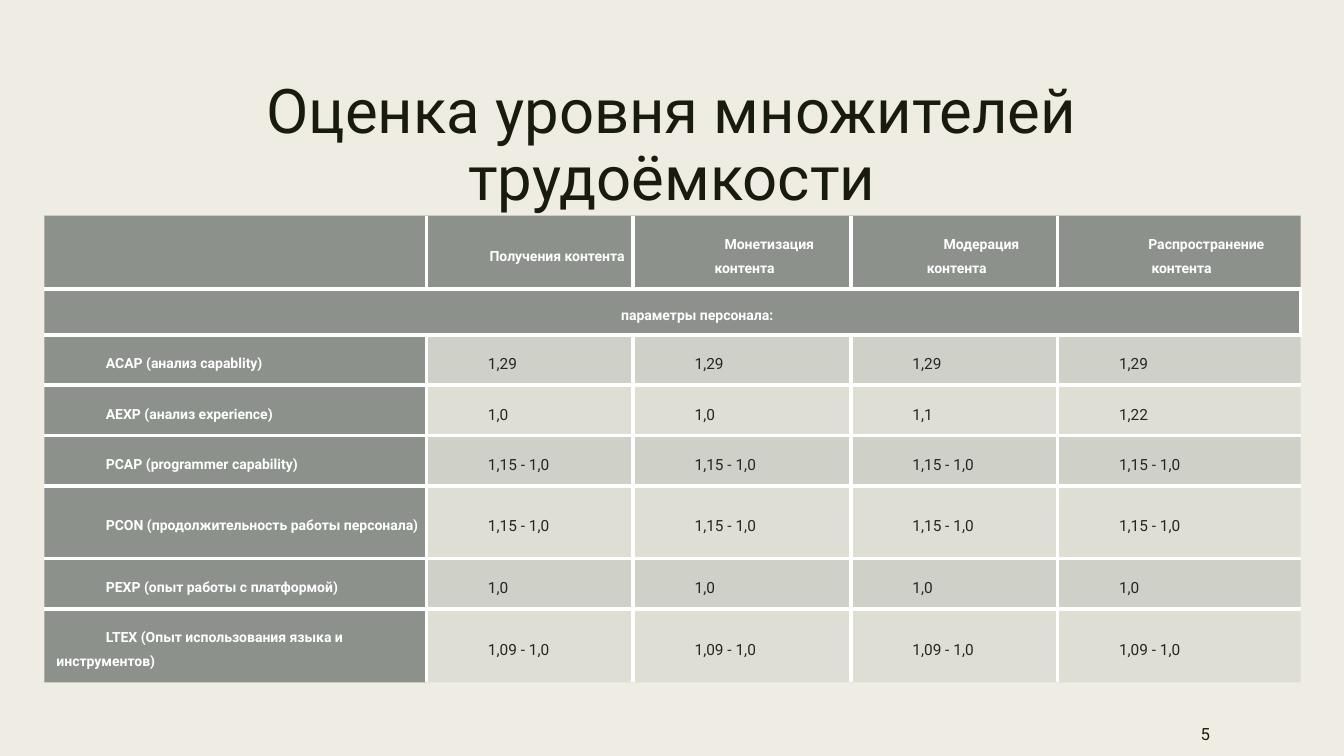
from lxml.etree import SubElement
from pptx import Presentation
from pptx.dml.color import RGBColor
from pptx.enum.shapes import MSO_SHAPE
from pptx.enum.text import MSO_ANCHOR, PP_ALIGN
from pptx.oxml.ns import qn
from pptx.util import Inches, Pt

COLORS = {
    "background": "EFEDE3",
    "title": "191B0E",
    "heading_fill": "636B68",
    "value_fill": "878E8B",
    "heading_text": "FFFFFF",
    "value_text": "262626",
    "border": "FFFFFF",
}
FONT = "Roboto"
NO_GRID_STYLE = "{2D5ABB26-0587-4C30-8999-92F81FD0307C}"

COLUMN_WIDTHS = [3.79, 2.05, 2.16, 2.05, 2.41]
ROW_HEIGHTS = [0.73, 0.45, 0.5, 0.5, 0.5, 0.72, 0.5, 0.73]
SECTION_ROW = 1
ROWS = [
    ["", "Получения контента", "Монетизация контента", "Модерация контента", "Распространение контента"],
    ["параметры персонала:", "", "", "", ""],
    ["ACAP (анализ capablity)"] + ["1,29"] * 4,
    ["AEXP (анализ experience)", "1,0", "1,0", "1,1", "1,22"],
    ["PCAP (programmer capability)"] + ["1,15 - 1,0"] * 4,
    ["PCON (продолжительность работы персонала)"] + ["1,15 - 1,0"] * 4,
    ["PEXP (опыт работы с платформой)"] + ["1,0"] * 4,
    ["LTEX (Опыт использования языка и инструментов)"] + ["1,09 - 1,0"] * 4,
]


def add_run(paragraph, text, size, color, bold=False):
    run = paragraph.add_run()
    run.text = text
    run.font.name = FONT
    run.font.size = Pt(size)
    run.font.bold = bold
    run.font.color.rgb = RGBColor.from_string(COLORS[color])


def add_text(slide, box, text, size, alignment, anchor):
    text_box = slide.shapes.add_textbox(*map(Inches, box))
    frame = text_box.text_frame
    frame.word_wrap = True
    frame.vertical_anchor = anchor
    paragraph = frame.paragraphs[0]
    paragraph.alignment = alignment
    add_run(paragraph, text, size, "title")
    return paragraph


def add_backdrop(slide, box):
    backdrop = slide.shapes.add_shape(MSO_SHAPE.RECTANGLE, *map(Inches, box))
    backdrop.shadow.inherit = False
    backdrop.line.fill.background()
    for fill in (slide.background.fill, backdrop.fill):
        fill.solid()
        fill.fore_color.rgb = RGBColor.from_string(COLORS["background"])


def add_title(slide, box):
    paragraph = add_text(slide, box, "Оценка уровня множителей трудоёмкости", 44,
                         PP_ALIGN.CENTER, MSO_ANCHOR.TOP)
    paragraph.line_spacing = 0.9


def add_slide_number(slide, box):
    paragraph = add_text(slide, box, "5", 12, PP_ALIGN.RIGHT, MSO_ANCHOR.MIDDLE)
    paragraph.space_after = Pt(6)


def set_borders(cell, edges):
    """Draw a white line on each edge marked true, and none on the others."""
    properties = cell._tc.get_or_add_tcPr()
    for side, visible in edges.items():
        line = SubElement(properties, qn(f"a:ln{side}"), w=str(Pt(3)))
        if visible:
            fill = SubElement(line, qn("a:solidFill"))
            SubElement(fill, qn("a:srgbClr"), val=COLORS["border"])
        else:
            SubElement(line, qn("a:noFill"))


def set_fill(cell, color, opacity):
    cell.fill.solid()
    cell.fill.fore_color.rgb = RGBColor.from_string(COLORS[color])
    color_element = cell._tc.tcPr.find(qn("a:solidFill")).find(qn("a:srgbClr"))
    SubElement(color_element, qn("a:alpha"), val=str(opacity * 1000))


def fill_cell(cell, text, row, column):
    is_section = row == SECTION_ROW
    is_heading = row <= SECTION_ROW or column == 0
    last_row, last_column = len(ROWS) - 1, len(COLUMN_WIDTHS) - 1

    # Inner grid lines, plus the right end of the section row
    set_borders(cell, {
        "L": column > 0 and not is_section,
        "R": is_section and column in (0, last_column) or not is_section and column < last_column,
        "T": row > 0,
        "B": row < last_row,
    })
    if is_heading:
        set_fill(cell, "heading_fill", 70)
    else:
        set_fill(cell, "value_fill", 30 if row % 2 == 0 else 15)

    margins = (0.11, 0.06, 0.11, 0.06) if is_section else (0.12, 0.07, 0.07, 0.07)
    cell.margin_left, cell.margin_top, cell.margin_right, cell.margin_bottom = map(Inches, margins)
    cell.vertical_anchor = MSO_ANCHOR.MIDDLE
    if not text:
        return
    paragraph = cell.text_frame.paragraphs[0]
    paragraph.alignment = PP_ALIGN.CENTER if row <= SECTION_ROW else PP_ALIGN.LEFT
    paragraph.line_spacing = 1.5
    paragraph._p.get_or_add_pPr().set("indent", str(Inches(0.49)))
    if is_heading:
        add_run(paragraph, text, 10, "heading_text", bold=True)
    else:
        add_run(paragraph, text, 11, "value_text")


def add_multiplier_table(slide, box):
    frame = slide.shapes.add_table(len(ROWS), len(COLUMN_WIDTHS), *map(Inches, box))
    table = frame.table
    table.first_row = table.horz_banding = False
    table._tbl.tblPr.find(qn("a:tableStyleId")).text = NO_GRID_STYLE
    for column, width in zip(table.columns, COLUMN_WIDTHS):
        column.width = Inches(width)
    for row, height in zip(table.rows, ROW_HEIGHTS):
        row.height = Inches(height)

    # The section heading spans every column
    table.cell(SECTION_ROW, 0).merge(table.cell(SECTION_ROW, len(COLUMN_WIDTHS) - 1))
    for row, texts in enumerate(ROWS):
        for column, text in enumerate(texts):
            fill_cell(table.cell(row, column), text, row, column)


def main():
    presentation = Presentation()
    presentation.slide_width = Inches(13.33)
    presentation.slide_height = Inches(7.5)
    slide = presentation.slides.add_slide(presentation.slide_layouts[6])

    add_backdrop(slide, (0, 0, 13.33, 7.5))
    add_title(slide, (0.7, 0.75, 11.93, 1.62))
    add_slide_number(slide, (10.35, 7.06, 1.75, 0.44))
    add_multiplier_table(slide, (0.44, 2.14, sum(COLUMN_WIDTHS), sum(ROW_HEIGHTS)))
    presentation.save("out.pptx")


if __name__ == "__main__":
    main()
